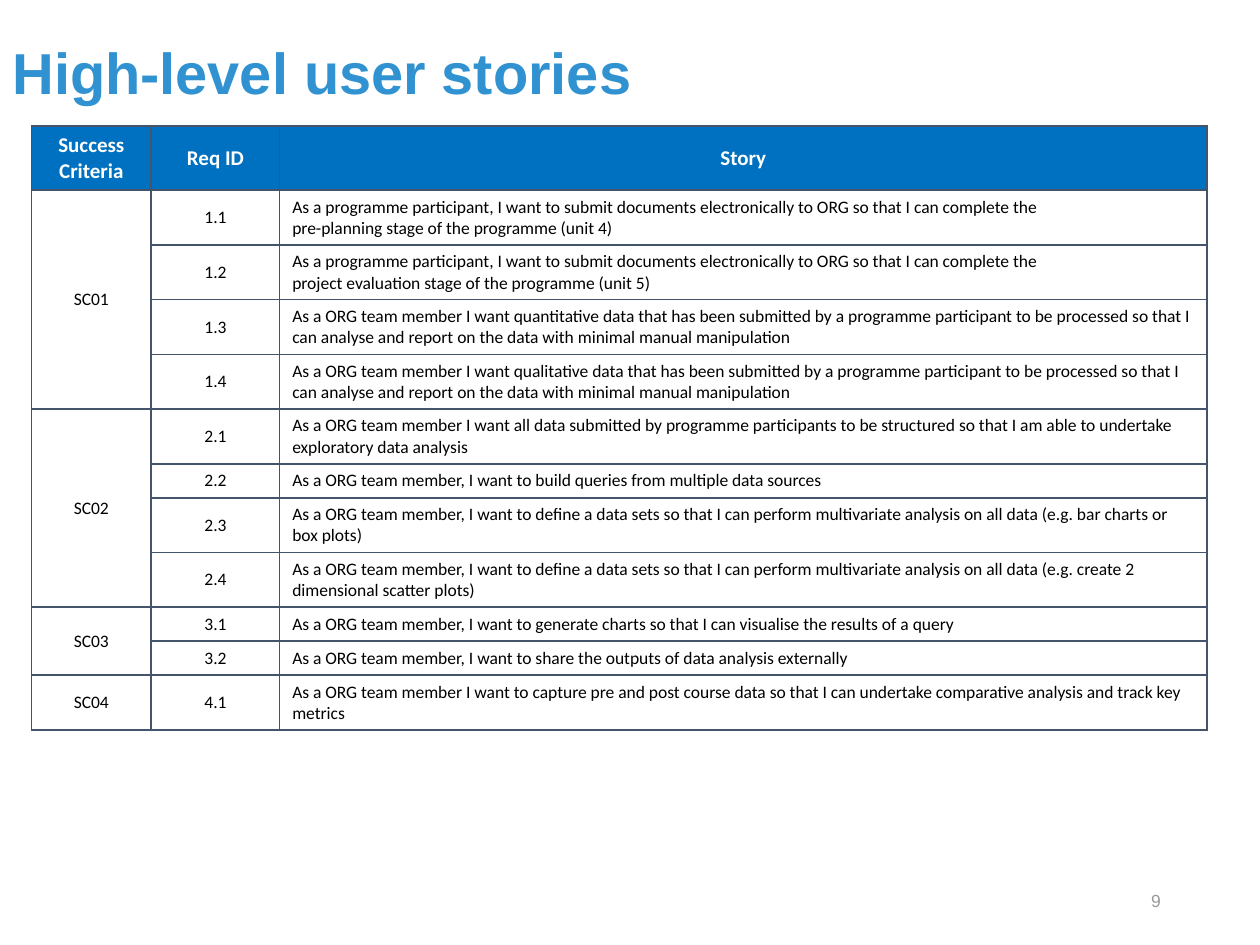
from pptx import Presentation
from pptx.dml.color import RGBColor
from pptx.enum.text import MSO_ANCHOR, PP_ALIGN
from pptx.oxml import parse_xml
from pptx.oxml.ns import nsdecls
from pptx.util import Inches, Pt

LEFT, MID, RIGHT = PP_ALIGN.LEFT, PP_ALIGN.CENTER, PP_ALIGN.RIGHT
TOP, CENTRE = MSO_ANCHOR.TOP, MSO_ANCHOR.MIDDLE

HEADS = ["Success Criteria", "Req ID", "Story"]
WIDTHS = [9.5, 10.2, 73.6]
HEAD_ROW, TWO_LINES, ONE_LINE = 5.1, 4.3, 2.7
SUBMIT = ("As a programme participant, I want to submit documents "
          "electronically to ORG so that I can complete the\n")
MEMBER = "As a ORG team member"
PROCESS = (MEMBER + " I want {} data that has been submitted by a programme "
           "participant to be processed so that I can analyse and report on "
           "the data with minimal manual manipulation")
DEFINE = (MEMBER + ", I want to define a data sets so that I can perform "
          "multivariate analysis on all data (e.g. {} plots)")
STORIES = {
    "SC01": [
        SUBMIT + "pre-planning stage of the programme (unit 4)",
        SUBMIT + "project evaluation stage of the programme (unit 5)",
        PROCESS.format("quantitative"),
        PROCESS.format("qualitative"),
    ],
    "SC02": [
        MEMBER + " I want all data submitted by programme participants to be "
        "structured so that I am able to undertake exploratory data analysis",
        MEMBER + ", I want to build queries from multiple data sources",
        DEFINE.format("bar charts or box"),
        DEFINE.format("create 2 dimensional scatter"),
    ],
    "SC03": [
        MEMBER + ", I want to generate charts so that I can visualise the "
        "results of a query",
        MEMBER + ", I want to share the outputs of data analysis externally",
    ],
    "SC04": [
        MEMBER + " I want to capture pre and post course data so that I can "
        "undertake comparative analysis and track key metrics",
    ],
}


def unit(count):
    """Length of a number of grid steps; the slide is 100 by 75 steps."""
    return Inches(count / 10)


def colour(code):
    return RGBColor.from_string(code)


def write(frame, text, size=10, font="Calibri", ink="000000", bold=False,
          align=LEFT, space=None):
    """Fill a text frame, one paragraph for each line of text."""
    for i, line in enumerate(text.split("\n")):
        para = frame.add_paragraph() if i else frame.paragraphs[0]
        para.alignment = align
        if space:
            para.line_spacing = space
        run = para.add_run()
        run.text = line
        run.font.size = Pt(size)
        run.font.name = font
        run.font.bold = bold
        run.font.color.rgb = colour(ink)


class Page:
    blue, white, rule = "0070C0", "FFFFFF", "44546A"

    def __init__(self, deck):
        self.slide = deck.slides.add_slide(deck.slide_layouts[6])

    def label(self, box, text, **style):
        frame = self.slide.shapes.add_textbox(*map(unit, box)).text_frame
        frame.word_wrap = True
        frame.vertical_anchor = CENTRE
        write(frame, text, font="Arial", **style)

    def cell(self, cell, text, fill=white, anchor=CENTRE, **style):
        props = cell._tc.get_or_add_tcPr()
        for side in "LRTB":
            props.append(parse_xml(
                f'<a:ln{side} {nsdecls("a")} w="{Pt(1)}"><a:solidFill>'
                f'<a:srgbClr val="{self.rule}"/></a:solidFill></a:ln{side}>'))
        cell.fill.solid()
        cell.fill.fore_color.rgb = colour(fill)
        cell.vertical_anchor = anchor
        if text:
            write(cell.text_frame, text, **style)

    def table(self, left, top, groups, heights):
        """Draw the stories, with one merged first cell for each group."""
        box = map(unit, (left, top, sum(WIDTHS), sum(heights)))
        grid = self.slide.shapes.add_table(len(heights), len(WIDTHS), *box).table
        for col, width in zip(grid.columns, WIDTHS):
            col.width = unit(width)
        for row, height in zip(grid.rows, heights):
            row.height = unit(height)
        for i, head in enumerate(HEADS):
            self.cell(grid.cell(0, i), head, fill=self.blue, size=12,
                      ink=self.white, bold=True, align=MID)
        row = 1
        for major, (code, tales) in enumerate(groups.items(), 1):
            first = row
            for minor, tale in enumerate(tales, 1):
                self.cell(grid.cell(row, 0), code if minor == 1 else "", align=MID)
                self.cell(grid.cell(row, 1), f"{major}.{minor}", align=MID)
                self.cell(grid.cell(row, 2), tale, anchor=TOP)
                row += 1
            if len(tales) > 1:
                grid.cell(first, 0).merge(grid.cell(row - 1, 0))


def main():
    deck = Presentation()
    deck.slide_width, deck.slide_height = unit(100), unit(75)
    page = Page(deck)
    page.label((0, 2.9, 100, 6.2), "High-level user stories", size=33,
               ink="3092D0", bold=True, space=0.9)
    page.label((70.6, 69.5, 22.5, 4), "9", ink="999999", align=RIGHT)
    heights = [HEAD_ROW] + [TWO_LINES if len(tale) > 100 else ONE_LINE
                            for tales in STORIES.values() for tale in tales]
    page.table(2.5, 10, STORIES, heights)
    deck.save("out.pptx")


if __name__ == "__main__":
    main()
